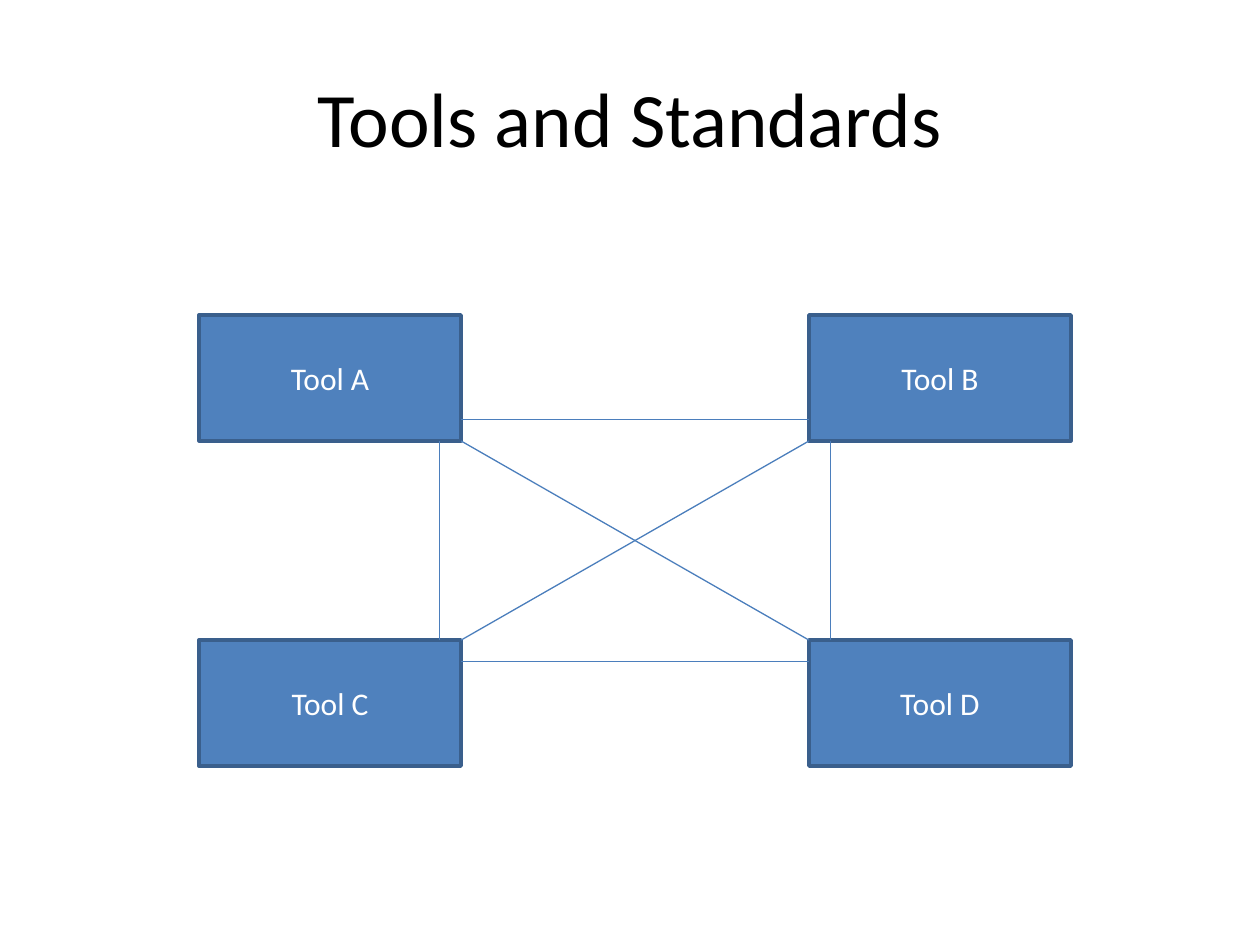
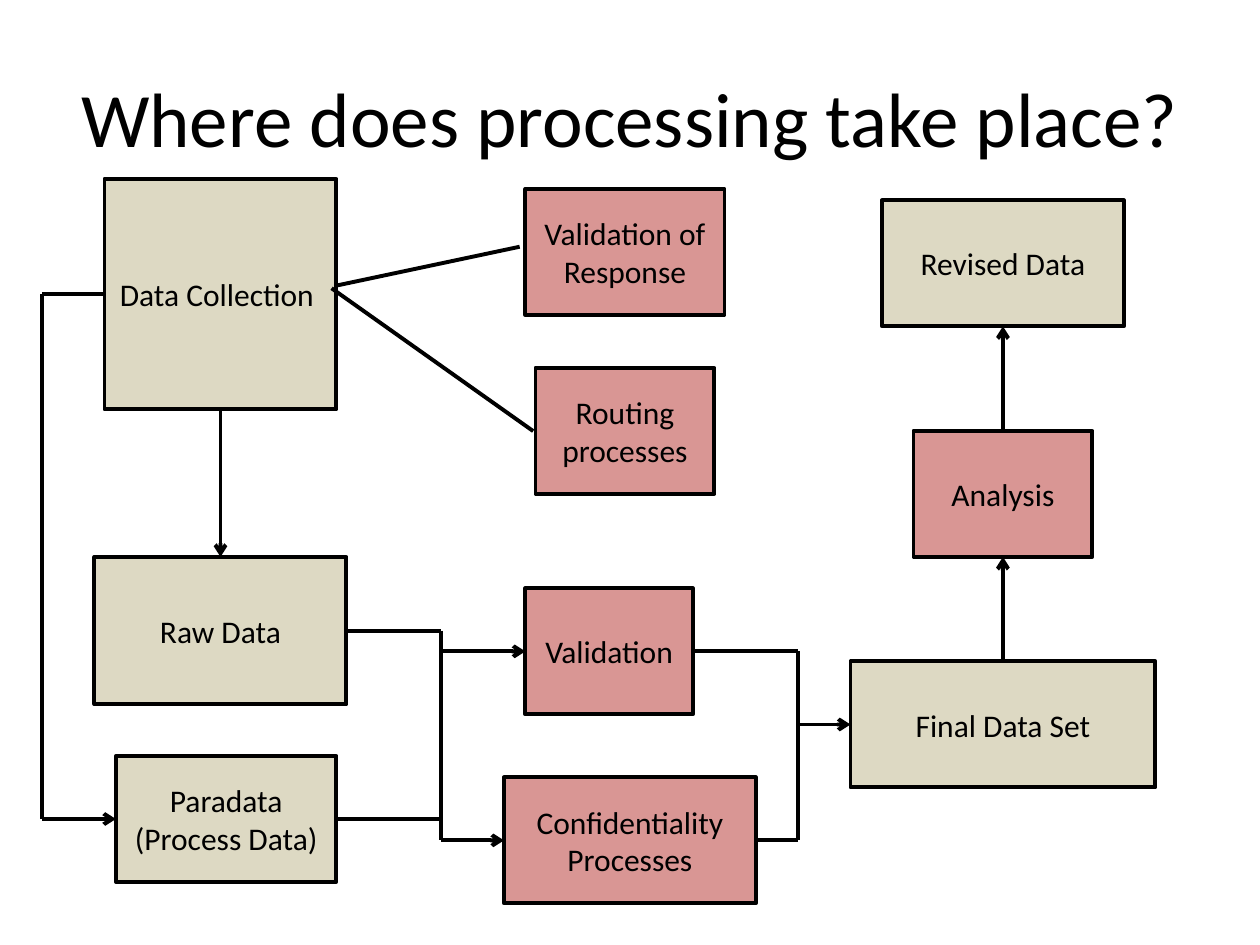
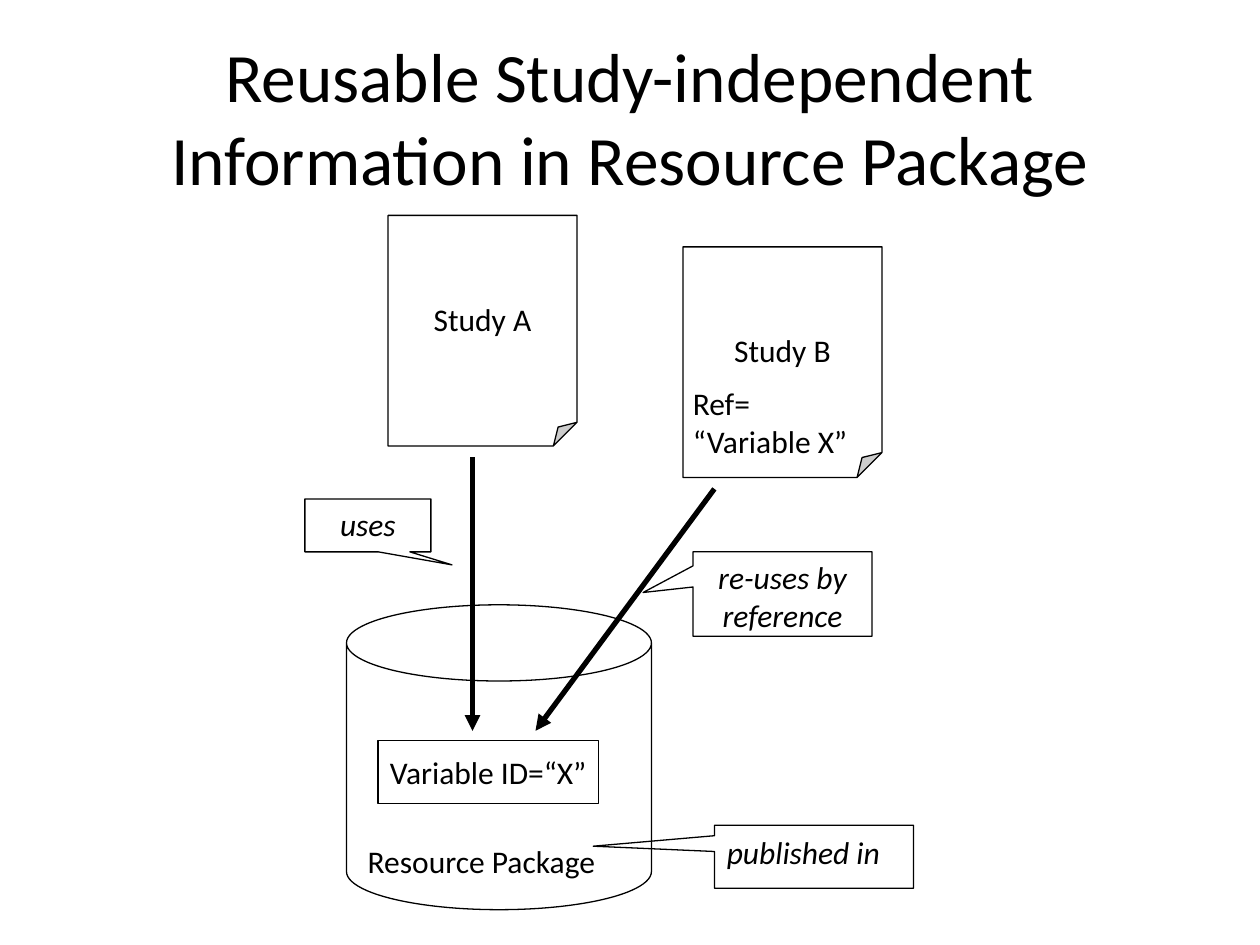
from lxml.etree import SubElement
from pptx import Presentation
from pptx.dml.color import RGBColor
from pptx.enum.shapes import MSO_CONNECTOR, MSO_SHAPE
from pptx.enum.text import MSO_ANCHOR, MSO_AUTO_SIZE, PP_ALIGN
from pptx.oxml.ns import qn
from pptx.util import Inches, Pt

# Shared look
FONT = "Calibri"
BLACK = RGBColor(0x00, 0x00, 0x00)
WHITE = RGBColor(0xFF, 0xFF, 0xFF)
BLUE = RGBColor(0x4F, 0x81, 0xBD)
NAVY = RGBColor(0x3A, 0x5F, 0x8C)
STEEL = RGBColor(0x4B, 0x7E, 0xBC)
SAND = RGBColor(0xDD, 0xD9, 0xC3)
ROSE = RGBColor(0xD9, 0x96, 0x94)
TOP, LEFT, BOTTOM, RIGHT = range(4)
THIN, BOLD, HEAVY = 0.75, 2.25, 3


def style(frame, size=18, color=BLACK, align=PP_ALIGN.CENTER, italic=None):
    """Format every run of a text frame."""
    for para in frame.paragraphs:
        para.alignment = align
        for run in para.runs:
            font = run.font
            font.name, font.size, font.italic = FONT, Pt(size), italic
            font.color.rgb = color


def start(deck, text, size=44):
    """Add a slide with its title."""
    slide = deck.slides.add_slide(deck.slide_layouts[5])
    title = slide.shapes.title
    title.left, title.top = Inches(0.5), Inches(0.3)
    title.width, title.height = Inches(9), Inches(1.25)
    title.text_frame.text = text
    title.text_frame.vertical_anchor = MSO_ANCHOR.MIDDLE
    style(title.text_frame, size)
    return slide


def tune(shape, values):
    """Write a shape's adjustments, also those python-pptx does not list."""
    guides = shape._element.spPr.find(qn("a:prstGeom")).find(qn("a:avLst"))
    guides[:] = []
    for spot, value in enumerate(values, 1):
        name = f"adj{spot}" if len(values) > 1 else "adj"
        SubElement(guides, qn("a:gd"), name=name,
                   fmla=f"val {round(value * 100000)}")


def block(slide, area, text="", fill=WHITE, line=BLACK, width=BOLD,
          kind=MSO_SHAPE.RECTANGLE, adjust=(), color=BLACK, italic=None,
          anchor=MSO_ANCHOR.MIDDLE, wrap=True):
    """Add a filled, outlined shape; a fill of None leaves it clear."""
    shape = slide.shapes.add_shape(kind, *map(Inches, area))
    shape.shadow.inherit = False
    if adjust:
        tune(shape, adjust)
    if fill is None:
        shape.fill.background()
    else:
        shape.fill.solid()
        shape.fill.fore_color.rgb = fill
    shape.line.color.rgb, shape.line.width = line, Pt(width)
    if text:
        frame = shape.text_frame
        frame.text, frame.word_wrap, frame.vertical_anchor = text, wrap, anchor
        style(frame, color=color, italic=italic)
    return shape


def label(slide, area, text, italic=None):
    """Add free text that grows with its words."""
    frame = slide.shapes.add_textbox(*map(Inches, area)).text_frame
    frame.text, frame.word_wrap = text, False
    frame.auto_size = MSO_AUTO_SIZE.SHAPE_TO_FIT_TEXT
    style(frame, align=PP_ALIGN.LEFT, italic=italic)


def link(slide, ends, color=BLACK, width=BOLD, head=None):
    """Draw a line between two ends, each an (x, y) point or a (shape, side)."""
    points = [(0, 0) if hasattr(a, "shape_type") else (Inches(a), Inches(b))
              for a, b in ends]
    line = slide.shapes.add_connector(MSO_CONNECTOR.STRAIGHT,
                                      *points[0], *points[1])
    for (a, b), join in zip(ends, (line.begin_connect, line.end_connect)):
        if hasattr(a, "shape_type"):
            join(a, b)
    line.line.color.rgb, line.line.width = color, Pt(width)
    props = line._element.spPr
    if head:
        SubElement(props.find(qn("a:ln")), qn("a:tailEnd"), type=head)
    SubElement(props, qn("a:effectLst"))


def middle(shape):
    """Give the height of a shape's centre in inches."""
    return (shape.top + shape.height / 2) / Inches(1)


def stub(slide, shape, side, x, into=False):
    """Draw a level line between a shape's side and the rail at x."""
    ends = [(shape, side), (x, middle(shape))]
    if into:
        link(slide, ends[::-1], head="arrow")
    else:
        link(slide, ends)


# Slide 1: four tools, all linked
def tools(slide, x, y, w, h):
    wide, high, inset = 2.08, 1, 0.17
    right, low = x + w - wide, y + h - high
    for name, left, top in (("A", x, y), ("B", right, y),
                            ("D", right, low), ("C", x, low)):
        block(slide, (left, top, wide, high), f"Tool {name}", BLUE, NAVY, 2,
              color=WHITE)
    near, base = x + wide, y + high
    pairs = [((near, base - inset), (right, base - inset)),
             ((near - inset, base), (near - inset, low)),
             ((right + inset, base), (right + inset, low)),
             ((near, low + inset), (right, low + inset)),
             ((near, base), (right, low)),
             ((near, low), (right, base))]
    for pair in pairs:
        link(slide, pair, STEEL, THIN)


# Slide 2: data sources, processing, results
def intake(slide, x, y):
    data = block(slide, (x + 0.5, y, 1.84, 1.83), "Data Collection ", SAND)
    raw = block(slide, (x + 0.42, y + 3, 2, 1.17), "Raw Data", SAND)
    para = block(slide, (x + 0.59, y + 4.58, 1.75, 1),
                 "Paradata (Process Data)", SAND)
    link(slide, ((data, BOTTOM), (raw, TOP)), head="arrow")
    stub(slide, data, LEFT, x)
    link(slide, ((x, middle(data)), (x, middle(para))))
    stub(slide, para, LEFT, x, into=True)
    return raw, para


def checks(slide, x, y):
    for text, area, adjust in (
            ("Validation of Response", (x + 0.17, y, 1.58, 1),
             (0.459, -0.029, 0.768, -0.952)),
            ("Routing processes", (x + 0.25, y + 1.42, 1.42, 1),
             (0.502, -0.013, -0.632, -1.14))):
        block(slide, area, text, ROSE, kind=MSO_SHAPE.LINE_CALLOUT_1,
              adjust=adjust)
    valid = block(slide, (x + 0.17, y + 3.17, 1.33, 1), "Validation", ROSE)
    secret = block(slide, (x, y + 4.67, 2, 1), "Confidentiality\nProcesses",
                   ROSE)
    return valid, secret


def results(slide, mid, y):
    stack = []
    for row, (text, wide, fill) in enumerate((("Revised Data", 1.92, SAND),
                                              ("Analysis", 1.42, ROSE),
                                              ("Final Data Set", 2.42, SAND))):
        area = (mid - wide / 2, y + row * 1.83, wide, 1)
        stack.append(block(slide, area, text, fill))
    for upper, lower in zip(stack, stack[1:]):
        link(slide, ((lower, TOP), (upper, BOTTOM)), head="arrow")
    return stack[-1]


def flow(slide, x, y):
    raw, para = intake(slide, x, y)
    valid, secret = checks(slide, x + 3.67, y + 0.08)
    final = results(slide, x + 7.63, y + 0.17)
    # Rails that gather sources and results
    first, last = x + 3.17, x + 6
    for source in (raw, para):
        stub(slide, source, RIGHT, first)
    link(slide, ((first, middle(raw)), (first, middle(secret))))
    for step in (valid, secret):
        stub(slide, step, LEFT, first, into=True)
        stub(slide, step, RIGHT, last)
    link(slide, ((last, middle(secret)), (last, middle(valid))))
    stub(slide, final, LEFT, last, into=True)


# Slide 3: studies that share a resource package
def sheet(slide, area, text):
    block(slide, area, text, width=THIN, kind=MSO_SHAPE.FOLDED_CORNER,
          adjust=(0.125,), wrap=False)


def remark(slide, area, tip, text="", fill=None):
    block(slide, area, text, fill, width=THIN, adjust=tip, italic=True,
          kind=MSO_SHAPE.RECTANGULAR_CALLOUT, anchor=MSO_ANCHOR.TOP)


def package(slide, x, y):
    block(slide, (x, y, 2.42, 2.42), fill=None, width=THIN,
          kind=MSO_SHAPE.CAN, adjust=(0.25,))
    label(slide, (x + 0.07, y + 1.83, 2.31, 0.4), "Resource Package")
    remark(slide, (x + 2.92, y + 1.75, 1.58, 0.5), (-1.109, -0.167))
    label(slide, (x + 2.92, y + 1.76, 1.53, 0.4), "published in", italic=True)
    block(slide, (x + 0.25, y + 1.08, 1.75, 0.5), "Variable ID=“X”",
          width=THIN, wrap=False)


def studies(slide, x, y):
    sheet(slide, (x + 0.66, y, 1.5, 1.83), "Study A")
    remark(slide, (x + 3.08, y + 2.67, 1.42, 0.67), (-0.779, -0.018),
           "re-uses by reference")
    link(slide, ((x + 1.33, y + 1.92), (x + 1.33, y + 4.09)),
         width=HEAVY, head="triangle")
    remark(slide, (x, y + 2.25, 1, 0.42), (0.668, 0.746), "uses", WHITE)
    sheet(slide, (x + 3, y + 0.25, 1.58, 1.83), "Study B")
    link(slide, ((x + 3.25, y + 2.17), (x + 1.83, y + 4.09)),
         width=HEAVY, head="triangle")
    label(slide, (x + 2.98, y + 1.29, 1.52, 0.7), "Ref=\n“Variable X”")


def main():
    deck = Presentation()
    deck.slide_width, deck.slide_height = Inches(10), Inches(7.5)

    tools(start(deck, "Tools and Standards"), 1.58, 2.5, 6.92, 3.58)
    flow(start(deck, "Where does processing take place?"), 0.33, 1.42)

    slide = start(deck, "Reusable Study-independent Information "
                        "in Resource Package", 39.6)
    package(slide, 2.75, 4.8)
    studies(slide, 2.42, 1.71)
    deck.save("out.pptx")


if __name__ == "__main__":
    main()
